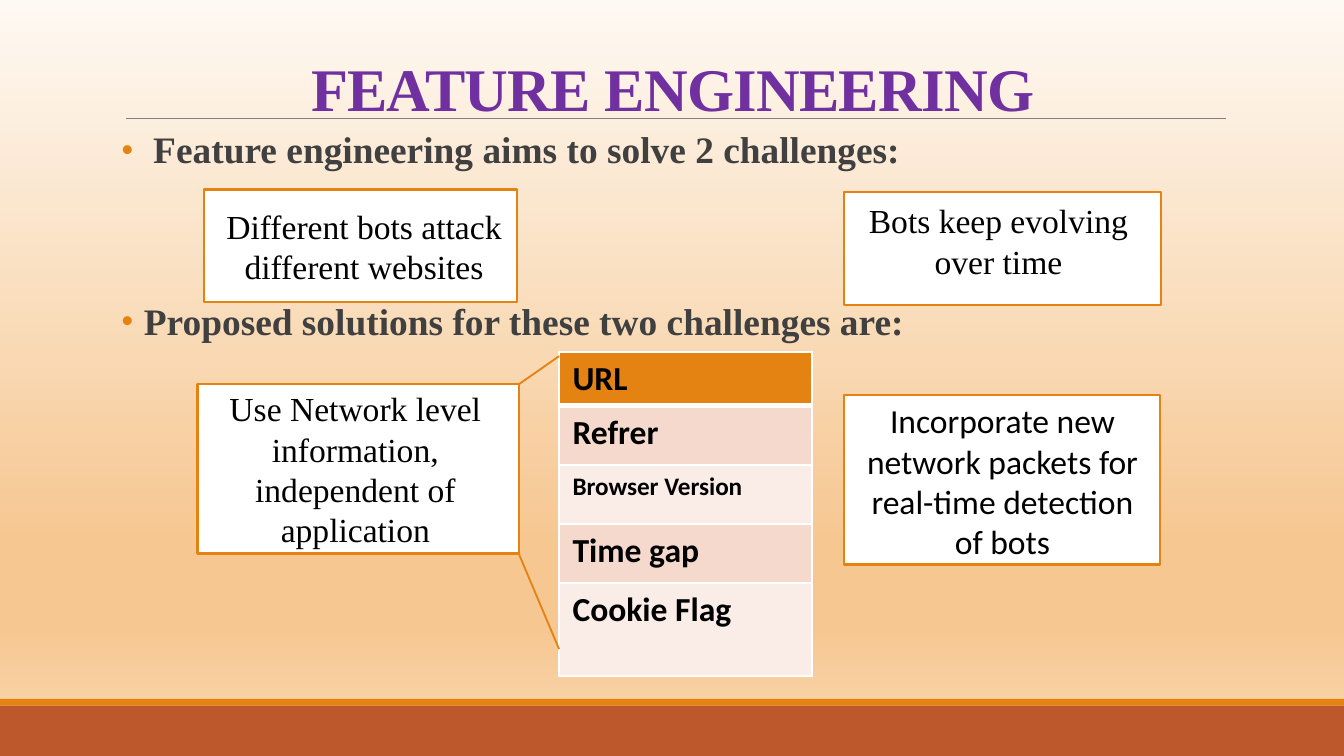
from dataclasses import dataclass

from lxml.etree import SubElement
from pptx import Presentation
from pptx.dml.color import RGBColor
from pptx.enum.shapes import MSO_CONNECTOR, MSO_SHAPE
from pptx.enum.text import MSO_ANCHOR, PP_ALIGN
from pptx.oxml.ns import qn
from pptx.util import Inches, Pt

COLUMNS, ROWS = 100, 56.25
WIDTH, HEIGHT = Inches(10), Inches(5.625)
SERIF, SANS = "Times New Roman", "Calibri"

BLACK = RGBColor(0x00, 0x00, 0x00)
WHITE = RGBColor(0xFF, 0xFF, 0xFF)
GRAY = RGBColor(0x80, 0x80, 0x80)
CHARCOAL = RGBColor(0x40, 0x40, 0x40)
PURPLE = RGBColor(0x70, 0x30, 0xA0)
ORANGE = RGBColor(0xE4, 0x83, 0x12)
RUST = RGBColor(0xBD, 0x58, 0x2C)
ROSE = RGBColor(0xF5, 0xD9, 0xCC)
BLUSH = RGBColor(0xFA, 0xED, 0xE7)
CREAM = RGBColor(0xFE, 0xF9, 0xF3)
APRICOT = RGBColor(0xF6, 0xC7, 0x91)
PEACH = RGBColor(0xF9, 0xDA, 0xB6)
BACKDROP = [(0, CREAM), (72, APRICOT), (83, APRICOT), (100, PEACH)]


@dataclass(frozen=True)
class Area:
    column: float
    row: float
    columns: float
    rows: float

    def lengths(self) -> tuple[int, int, int, int]:
        return across(self.column), down(self.row), across(self.columns), down(self.rows)


@dataclass(frozen=True)
class Card:
    frame: Area
    label: Area
    text: str
    font: str = SERIF


@dataclass(frozen=True)
class Feature:
    name: str
    rows: float
    fill: RGBColor
    size: float = 18


@dataclass(frozen=True)
class Bullet:
    text: str
    indent: float
    before: float


CARDS = [
    Card(Area(15.2, 14.1, 23.3, 8.4), Area(15.6, 14.8, 23, 7.1),
         "Different bots attack different websites"),
    Card(Area(62.8, 14.3, 23.6, 8.4), Area(62.8, 14.4, 23, 7.1),
         "Bots keep evolving over time"),
    Card(Area(14.7, 28.6, 23.9, 12.6), Area(14.8, 28.4, 23.3, 13.1),
         "Use Network level information, independent of application"),
    Card(Area(62.8, 29.4, 23.5, 12.6), Area(63.1, 29.3, 23, 13.1),
         "Incorporate new network packets for real-time detection of bots", SANS),
]
FEATURES = [
    Feature("URL", 3.9, ORANGE),
    Feature("Refrer", 4.4, ROSE),
    Feature("Browser Version", 4.4, BLUSH, 13.5),
    Feature("Time gap", 4.4, ROSE),
    Feature("Cookie Flag", 6.9, BLUSH),
]
BULLETS = [
    Bullet("Feature engineering aims to solve 2 challenges:", 2.4, 0),
    Bullet("Proposed solutions for these two challenges are:", 1.7, 69),
]


def across(columns: float) -> int:
    return round(WIDTH * columns / COLUMNS)


def down(rows: float) -> int:
    return round(HEIGHT * rows / ROWS)


def paint_backdrop(page) -> None:
    fill = page.background.fill
    fill.gradient()
    fill.gradient_angle = 270
    stops = next(page.background._cSld.iter(qn("a:gsLst")))
    for stop in list(stops):
        stops.remove(stop)
    for percent, color in BACKDROP:
        stop = SubElement(stops, qn("a:gs"), pos=str(percent * 1000))
        SubElement(stop, qn("a:srgbClr"), val=str(color))


def add_box(page, area: Area, fill: RGBColor, line: RGBColor | None = None) -> None:
    box = page.shapes.add_shape(MSO_SHAPE.RECTANGLE, *area.lengths())
    box.shadow.inherit = False
    box.fill.solid()
    box.fill.fore_color.rgb = fill
    if line is None:
        box.line.fill.background()
    else:
        box.line.color.rgb = line
        box.line.width = Pt(1.25)


def add_line(page, start: tuple[float, float], end: tuple[float, float],
             color: RGBColor, width: float) -> None:
    line = page.shapes.add_connector(
        MSO_CONNECTOR.STRAIGHT, across(start[0]), down(start[1]), across(end[0]), down(end[1]))
    line.line.color.rgb = color
    line.line.width = Pt(width)
    SubElement(line._element.spPr, qn("a:effectLst"))


def write(para, text: str, *, size: float = 18, font: str = SERIF, color: RGBColor = BLACK,
          bold: bool = False, align=PP_ALIGN.LEFT, tracking: float = 0) -> None:
    para.alignment = align
    span = para.add_run()
    span.text = text
    span.font.size = Pt(size)
    span.font.name = font
    span.font.bold = bold
    span.font.color.rgb = color
    if tracking:
        span._r.get_or_add_rPr().set("spc", str(round(tracking * 100)))


def add_text_frame(page, area: Area):
    frame = page.shapes.add_textbox(*area.lengths()).text_frame
    frame.word_wrap = True
    return frame


def add_title(page) -> None:
    frame = add_text_frame(page, Area(8.6, 0.6, 82.9, 9.1))
    frame.vertical_anchor = MSO_ANCHOR.BOTTOM
    para = frame.paragraphs[0]
    para.line_spacing = 0.85
    write(para, "FEATURE ENGINEERING", size=32.4, color=PURPLE, bold=True,
          align=PP_ALIGN.CENTER, tracking=-0.4)


def add_bullets(page) -> None:
    frame = add_text_frame(page, Area(9, 9.3, 82.5, 16.8))
    frame.margin_left = frame.margin_right = 0
    for index, bullet in enumerate(BULLETS):
        para = frame.add_paragraph() if index else frame.paragraphs[0]
        para.line_spacing = 0.9
        para.space_before = Pt(bullet.before)
        para.space_after = Pt(1.5)
        write(para, bullet.text, size=20, color=CHARCOAL, bold=True)
        properties = para._p.get_or_add_pPr()
        properties.set("marL", str(across(bullet.indent)))
        properties.set("indent", str(-across(bullet.indent)))
        tint = SubElement(properties, qn("a:buClr"))
        SubElement(tint, qn("a:srgbClr"), val=str(ORANGE))
        SubElement(properties, qn("a:buFont"), typeface=SERIF)
        SubElement(properties, qn("a:buChar"), char="•")


def add_card(page, card: Card) -> None:
    add_box(page, card.frame, WHITE, ORANGE)
    frame = add_text_frame(page, card.label)
    write(frame.paragraphs[0], card.text, font=card.font, align=PP_ALIGN.CENTER)


def set_borders(cell, widths: dict[str, float]) -> None:
    properties = cell._tc.get_or_add_tcPr()
    for position, (side, width) in enumerate(widths.items()):
        border = properties.makeelement(qn(f"a:{side}"), {"w": str(Pt(width))})
        fill = SubElement(border, qn("a:solidFill"))
        SubElement(fill, qn("a:srgbClr"), val=str(WHITE))
        properties.insert(position, border)


def add_features(page) -> None:
    area = Area(41.6, 26.2, 18.8, sum(feature.rows for feature in FEATURES))
    table = page.shapes.add_table(len(FEATURES), 1, *area.lengths()).table
    for index, feature in enumerate(FEATURES):
        table.rows[index].height = down(feature.rows)
        cell = table.cell(index, 0)
        cell.fill.solid()
        cell.fill.fore_color.rgb = feature.fill
        write(cell.text_frame.paragraphs[0], feature.name, size=feature.size, font=SANS, bold=True)
        set_borders(cell, {"lnL": 1, "lnR": 1, "lnT": 3 if index == 1 else 1,
                           "lnB": 3 if index == 0 else 1})


def main() -> None:
    deck = Presentation()
    deck.slide_width, deck.slide_height = WIDTH, HEIGHT
    page = deck.slides.add_slide(deck.slide_layouts[6])
    paint_backdrop(page)
    add_box(page, Area(0, 52.5, COLUMNS, 3.75), RUST)
    add_box(page, Area(0, 52, COLUMNS, 0.5), ORANGE)
    add_line(page, (9.4, 8.8), (91.2, 8.8), GRAY, 0.5)
    add_title(page)
    add_bullets(page)
    for card in CARDS:
        add_card(page, card)
    add_features(page)
    add_line(page, (38.6, 28.6), (41.6, 26.5), ORANGE, 1)
    add_line(page, (38.6, 41.2), (41.6, 48.3), ORANGE, 1)
    deck.save("out.pptx")


if __name__ == "__main__":
    main()
